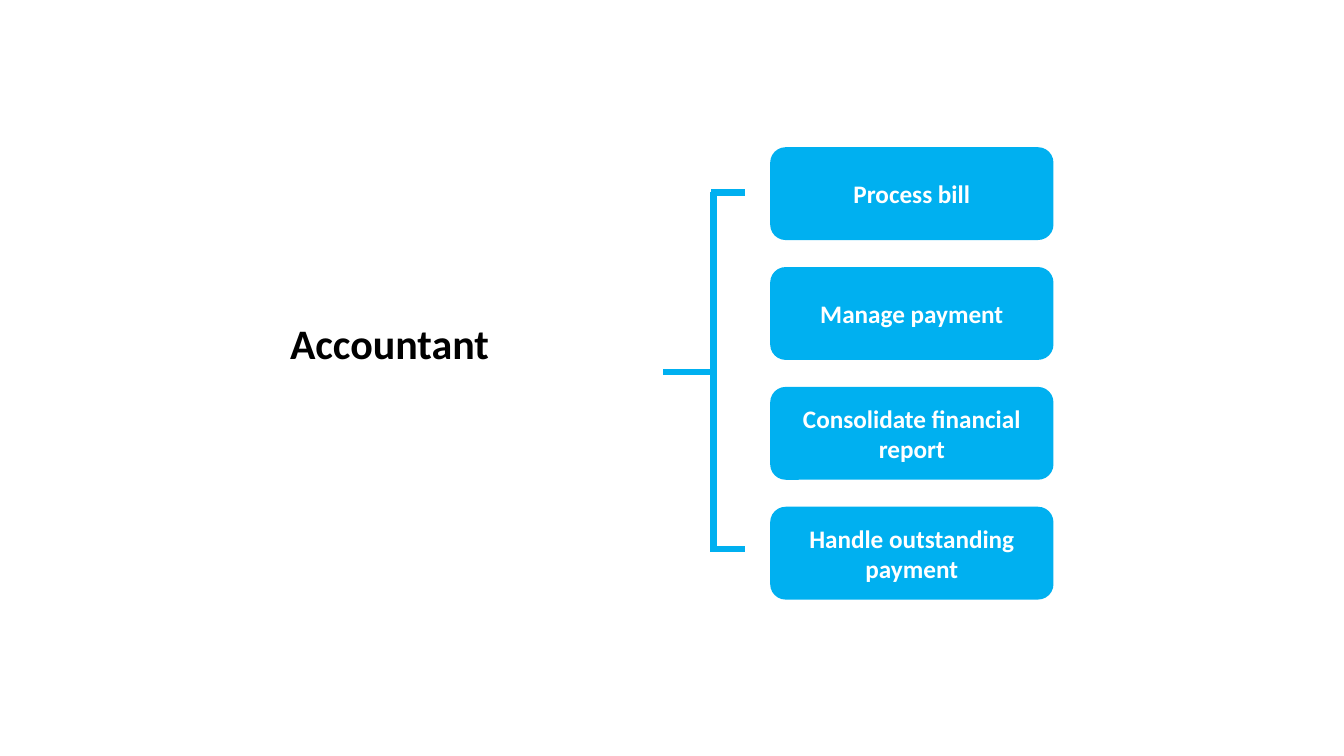
from dataclasses import dataclass

from pptx import Presentation
from pptx.dml.color import RGBColor
from pptx.enum import shapes, text
from pptx.oxml import ns
from pptx.util import Cm, Pt
from lxml import etree


@dataclass(frozen=True)
class Theme:
    accent: RGBColor = RGBColor(0x00, 0xB0, 0xF0)
    dark: RGBColor = RGBColor(0x00, 0x00, 0x00)
    light: RGBColor = RGBColor(0xFF, 0xFF, 0xFF)
    font: str = "Calibri"
    role_size: Pt = Pt(30)
    duty_size: Pt = Pt(18)
    bracket_width: Pt = Pt(4.5)


theme = Theme()


def write(frame, words, *, size, color, align, anchor, wrap=True):
    frame.word_wrap = wrap
    frame.vertical_anchor = anchor
    paragraph = frame.paragraphs[0]
    paragraph.alignment = align
    run = paragraph.add_run()
    run.text = words
    run.font.name = theme.font
    run.font.size = size
    run.font.bold = True
    run.font.color.rgb = color


deck = Presentation()
deck.slide_width, deck.slide_height = Cm(33.87), Cm(19.05)
slide = deck.slides.add_slide(deck.slide_layouts[6])

# Duties, stacked at an equal pitch
duties = [
    "Process bill",
    "Manage payment",
    "Consolidate financial report",
    "Handle outstanding payment",
]
duty_top, duty_pitch = 3.71, 3.02
for row, duty in enumerate(duties):
    card = slide.shapes.add_shape(
        shapes.MSO_SHAPE.ROUNDED_RECTANGLE,
        Cm(19.41), Cm(duty_top + row * duty_pitch), Cm(7.14), Cm(2.34),
    )
    card.shadow.inherit = False
    card.fill.solid()
    card.fill.fore_color.rgb = theme.accent
    card.line.fill.background()
    write(card.text_frame, duty, size=theme.duty_size, color=theme.light,
          align=text.PP_ALIGN.CENTER, anchor=text.MSO_ANCHOR.MIDDLE)

# Bracket: stem, two arms and the spine that joins them
spine_x, arm_start, arm_end = 17.98, 17.93, 18.77
bracket = [
    (16.71, 9.37, arm_start, 9.37),
    (arm_start, 4.85, arm_end, 4.85),
    (arm_start, 13.84, arm_end, 13.84),
    (spine_x, 4.83, spine_x, 13.92),
]
for ends in bracket:
    segment = slide.shapes.add_connector(
        shapes.MSO_CONNECTOR.STRAIGHT, *(Cm(value) for value in ends))
    segment.line.color.rgb = theme.accent
    segment.line.width = theme.bracket_width
    etree.SubElement(segment.element.spPr, ns.qn("a:effectLst"))

# Role that the duties belong to
role = slide.shapes.add_textbox(Cm(7.06), Cm(7.87), Cm(6.4), Cm(1.55))
role.text_frame.auto_size = text.MSO_AUTO_SIZE.SHAPE_TO_FIT_TEXT
write(role.text_frame, "Accountant", size=theme.role_size, color=theme.dark,
      align=text.PP_ALIGN.LEFT, anchor=text.MSO_ANCHOR.TOP, wrap=False)

deck.save("out.pptx")
